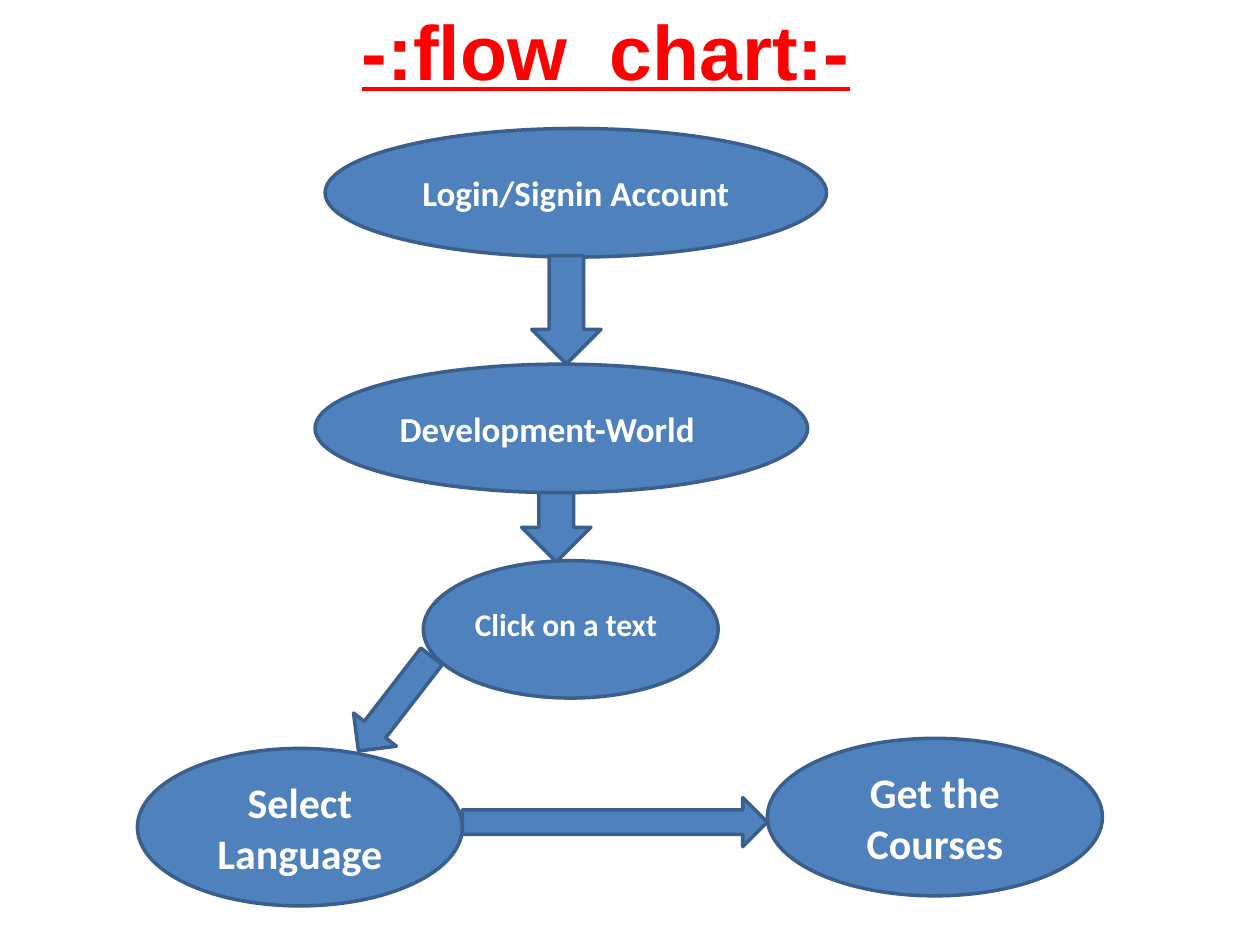
from pptx import Presentation
from pptx.dml.color import RGBColor
from pptx.enum.shapes import MSO_SHAPE
from pptx.enum.text import MSO_ANCHOR, PP_ALIGN
from pptx.util import Inches, Pt

BLUE = RGBColor(0x4F, 0x81, 0xBD)
OUTLINE = RGBColor(0x3A, 0x5F, 0x8C)
RED = RGBColor(0xFF, 0x00, 0x00)
WHITE = RGBColor(0xFF, 0xFF, 0xFF)

# Content: boxes are (left, top, width, height) in inches
TITLE = ("-:flow  chart:-", (0.31, -0.23, 9, 1.25))
CLICK_LABEL = ("Click on a text", (3.67, 4.75, 1.72, 0.4))

# Steps: text, box, font size, alignment
STEPS = [
    ("Login/Signin Account", (2.58, 1.02, 3.98, 1.02), 20, PP_ALIGN.CENTER),
    ("Development-World", (2.5, 2.89, 3.91, 1.02), 20, PP_ALIGN.LEFT),
    ("", (3.36, 4.45, 2.34, 1.09), 18, PP_ALIGN.CENTER),  # has its own label
    ("Select Language", (1.09, 5.94, 2.58, 1.25), 24, PP_ALIGN.CENTER),
    ("Get the Courses", (6.09, 5.86, 2.66, 1.25), 24, PP_ALIGN.CENTER),
]

# Arrows: shape, box, rotation
ARROWS = [
    (MSO_SHAPE.DOWN_ARROW, (4.22, 2.03, 0.55, 0.86), 0),
    (MSO_SHAPE.DOWN_ARROW, (4.14, 3.91, 0.55, 0.55), 0),
    (MSO_SHAPE.DOWN_ARROW, (2.92, 5.11, 0.43, 0.95), 37.7),
    (MSO_SHAPE.RIGHT_ARROW, (3.67, 6.33, 2.42, 0.39), 0),
]


def inches(box):
    return [Inches(v) for v in box]


def write(s, text, size, align, color=WHITE, font="Calibri", anchor=MSO_ANCHOR.MIDDLE):
    tf = s.text_frame
    tf.word_wrap = True
    tf.vertical_anchor = anchor
    p = tf.paragraphs[0]
    p.alignment = align
    r = p.add_run()
    r.text = text
    r.font.name = font
    r.font.size = Pt(size)
    r.font.bold = True
    r.font.color.rgb = color
    return r


def add_block(slide, kind, box, rotation=0):
    s = slide.shapes.add_shape(kind, *inches(box))
    s.rotation = rotation
    s.shadow.inherit = False
    s.fill.solid()
    s.fill.fore_color.rgb = BLUE
    s.line.color.rgb = OUTLINE
    s.line.width = Pt(2)
    return s


prs = Presentation()
prs.slide_width, prs.slide_height = Inches(10), Inches(7.5)
slide = prs.slides.add_slide(prs.slide_layouts[6])

# Title
text, box = TITLE
r = write(slide.shapes.add_textbox(*inches(box)), text, 44, PP_ALIGN.CENTER, RED, "Arial")
r.font.underline = True

# Steps
for text, box, size, align in STEPS:
    s = add_block(slide, MSO_SHAPE.OVAL, box)
    if text:
        write(s, text, size, align)

# Label of the third step
text, box = CLICK_LABEL
write(slide.shapes.add_textbox(*inches(box)), text, 18, PP_ALIGN.LEFT, anchor=MSO_ANCHOR.TOP)

# Arrows between steps
for kind, box, rotation in ARROWS:
    add_block(slide, kind, box, rotation)

prs.save("out.pptx")
